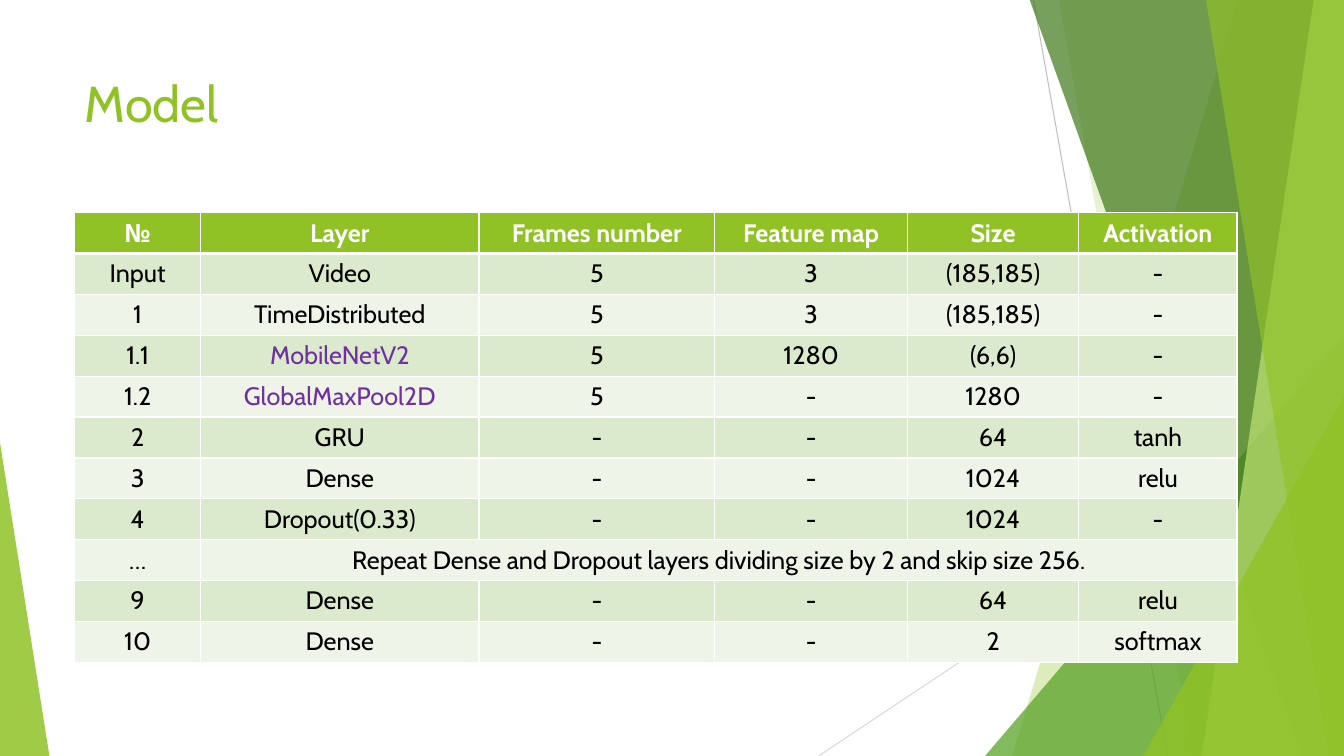
from dataclasses import dataclass

from lxml import etree
from pptx import Presentation
from pptx import util as u
from pptx.dml.color import RGBColor
from pptx.enum import shapes, text
from pptx.oxml.ns import qn

PX = 9144
WIDTH, HEIGHT = 1333, 750
FONT = "Cabin"
COLORS = {
    "white": "FFFFFF",
    "black": "000000",
    "lime": "90C226",
    "pale lime": "C0E474",
    "green": "54A021",
    "dark green": "3F7819",
    "odd row": "DBE9CD",
    "even row": "EEF4E8",
    "purple": "7030A0",
    "gray": "BFBFBF",
    "light gray": "D9D9D9",
}


@dataclass(frozen=True)
class Ray:
    x1: int
    y1: int
    x2: int
    y2: int
    color: str


@dataclass(frozen=True)
class Band:
    top_x: int
    bottom_x: int
    color: str
    opacity: int


@dataclass(frozen=True)
class Wedge:
    x: int
    y: int
    w: int
    h: int
    apex: int
    color: str
    opacity: int


RAYS = [
    Ray(1025, 0, 1158, HEIGHT, "gray"),
    Ray(WIDTH, 403, 812, HEIGHT, "light gray"),
]
FACETS = [
    Band(1228, 1004, "lime", 30),
    Band(1050, 1183, "lime", 20),
    Wedge(977, 333, 356, 417, 1, "green", 72),
    Band(1021, 1291, "dark green", 70),
    Band(1303, 1192, "pale lime", 70),
    Band(1196, 1318, "lime", 65),
    Wedge(1134, 393, 199, 357, 1, "lime", 80),
    Wedge(0, 439, 49, 311, 0, "lime", 85),
]

TABLE_X, TABLE_Y, TABLE_H = 74, 211, 446
COLUMNS = [125, 276, 234, 191, 170, 157]
ROWS = [
    ["№", "Layer", "Frames number", "Feature map", "Size", "Activation"],
    ["Input", "Video", "5", "3", "(185,185)", "-"],
    ["1", "TimeDistributed", "5", "3", "(185,185)", "-"],
    ["1.1", "MobileNetV2", "5", "1280", "(6,6)", "-"],
    ["1.2", "GlobalMaxPool2D", "5", "-", "1280", "-"],
    ["2", "GRU", "-", "-", "64", "tanh"],
    ["3", "Dense", "-", "-", "1024", "relu"],
    ["4", "Dropout(0.33)", "-", "-", "1024", "-"],
    ["…", "Repeat Dense and Dropout layers dividing size by 2 and skip size 256."],
    ["9", "Dense", "-", "-", "64", "relu"],
    ["10", "Dense", "-", "-", "2", "softmax"],
]
HIGHLIGHTED = {"MobileNetV2", "GlobalMaxPool2D"}


def rgb(name: str) -> RGBColor:
    return RGBColor.from_string(COLORS[name])


def add_run(p, content: str, size: int, color: str, bold: bool = False) -> None:
    r = p.add_run()
    r.text = content
    r.font.name = FONT
    r.font.size = u.Pt(size)
    r.font.bold = bold
    r.font.color.rgb = rgb(color)


def draw_ray(s, ray: Ray) -> None:
    ends = [v * PX for v in (ray.x1, ray.y1, ray.x2, ray.y2)]
    sp = s.shapes.add_connector(shapes.MSO_CONNECTOR.STRAIGHT, *ends)
    sp.line.color.rgb = rgb(ray.color)
    sp.line.width = u.Pt(0.75)
    etree.SubElement(sp.element.spPr, qn("a:effectLst"))


def draw_facet(s, facet: Band | Wedge) -> None:
    if isinstance(facet, Band):
        outline = s.shapes.build_freeform(facet.top_x, -1, scale=PX)
        outline.add_line_segments(
            [(WIDTH, -1), (WIDTH, HEIGHT), (facet.bottom_x, HEIGHT)], close=True
        )
        sp = outline.convert_to_shape()
    else:
        box = [v * PX for v in (facet.x, facet.y, facet.w, facet.h)]
        sp = s.shapes.add_shape(shapes.MSO_SHAPE.ISOSCELES_TRIANGLE, *box)
        sp.adjustments[0] = facet.apex
    sp.shadow.inherit = False
    sp.line.fill.background()
    sp.fill.solid()
    sp.fill.fore_color.rgb = rgb(facet.color)
    fill = sp.element.spPr.find(qn("a:solidFill")).find(qn("a:srgbClr"))
    etree.SubElement(fill, qn("a:alpha"), val=str(facet.opacity * 1000))


def draw_title(s) -> None:
    sp = s.shapes.title
    s.shapes.element.append(sp.element)
    sp.left, sp.top, sp.width, sp.height = [v * PX for v in (74, 67, 940, 144)]
    tf = sp.text_frame
    tf.word_wrap = True
    tf.vertical_anchor = text.MSO_ANCHOR.TOP
    p = tf.paragraphs[0]
    p.alignment = text.PP_ALIGN.LEFT
    add_run(p, "Model", 36, "lime")


def style_cell(cell, row: int) -> None:
    tc_pr = cell._tc.get_or_add_tcPr()
    weights = {"L": 1, "R": 1, "T": 3 if row == 1 else 1, "B": 3 if row == 0 else 1}
    for side, weight in weights.items():
        ln = etree.SubElement(tc_pr, qn(f"a:ln{side}"), w=str(u.Pt(weight)))
        fill = etree.SubElement(ln, qn("a:solidFill"))
        etree.SubElement(fill, qn("a:srgbClr"), val=COLORS["white"])
    cell.fill.solid()
    shade = "lime" if row == 0 else "odd row" if row % 2 else "even row"
    cell.fill.fore_color.rgb = rgb(shade)
    cell.vertical_anchor = text.MSO_ANCHOR.MIDDLE


def draw_table(s) -> None:
    box = [v * PX for v in (TABLE_X, TABLE_Y, sum(COLUMNS), TABLE_H)]
    table = s.shapes.add_table(len(ROWS), len(COLUMNS), *box).table
    for column, width in zip(table.columns, COLUMNS):
        column.width = width * PX
    for i, values in enumerate(ROWS):
        table.rows[i].height = TABLE_H * PX // len(ROWS)
        for j in range(len(COLUMNS)):
            style_cell(table.cell(i, j), i)
        for j, value in enumerate(values):
            color = "white" if i == 0 else "purple" if value in HIGHLIGHTED else "black"
            p = table.cell(i, j).text_frame.paragraphs[0]
            p.alignment = text.PP_ALIGN.CENTER
            add_run(p, value, 18, color, bold=i == 0)
        if len(values) < len(COLUMNS):
            last = table.cell(i, len(COLUMNS) - 1)
            table.cell(i, len(values) - 1).merge(last)


def main() -> None:
    prs = Presentation()
    prs.slide_width, prs.slide_height = WIDTH * PX, HEIGHT * PX
    s = prs.slides.add_slide(prs.slide_layouts[5])
    for ray in RAYS:
        draw_ray(s, ray)
    for facet in FACETS:
        draw_facet(s, facet)
    draw_title(s)
    draw_table(s)
    prs.save("out.pptx")


if __name__ == "__main__":
    main()
